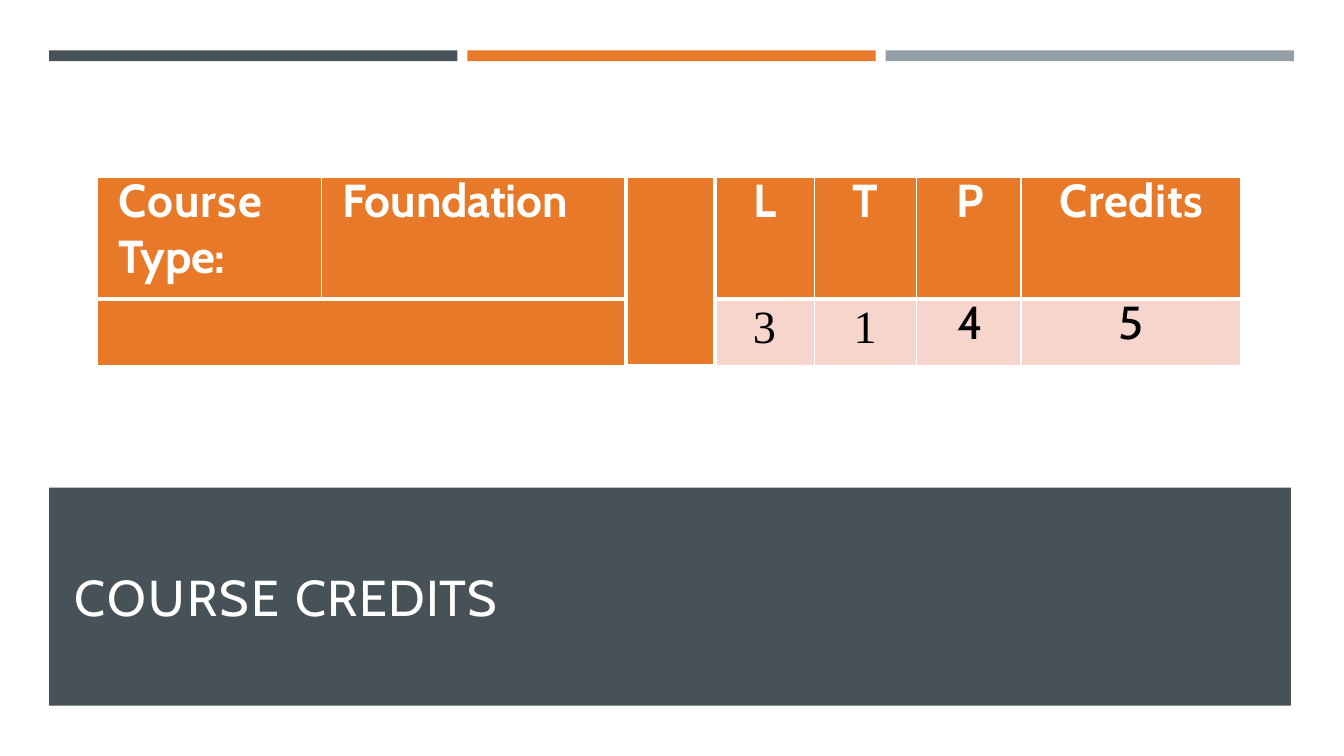
"""Build the course credits slide: three accent bars, a credit table and a title band."""
from dataclasses import dataclass

from lxml import etree
from pptx import Presentation
from pptx import util as u
from pptx.dml.color import RGBColor
from pptx.enum import shapes, text
from pptx.oxml.ns import qn


@dataclass(frozen=True)
class Theme:
    slate: str = "465257"
    orange: str = "E77929"
    grey: str = "949FA7"
    blush: str = "F6D5CD"
    white: str = "FFFFFF"
    black: str = "000000"
    sans: str = "Cabin"
    serif: str = "Times New Roman"
    title_size: float = 36
    cell_size: float = 33
    thin: float = 1
    thick: float = 3


THEME = Theme()
LEFT, CENTER = text.PP_ALIGN.LEFT, text.PP_ALIGN.CENTER

TITLE = [("COURSE ", 1.7), ("CREDITS", 0.8)]
BARS = [THEME.slate, THEME.orange, THEME.grey]

# (row, column): alignment, font, [(words, tracking, indent in cm, line pitch in pt)]
ENTRIES = {
    (0, 0): (LEFT, THEME.sans, [("Course", 0.8, 0.53, 36.9), ("Type:", -0.1, 0.53, None)]),
    (0, 1): (LEFT, THEME.sans, [("Foundation", -0.1, 0.53, 36.9)]),
    (0, 3): (CENTER, THEME.sans, [("L", 1.5, 0.05, 36.9)]),
    (0, 4): (CENTER, THEME.sans, [("T", 2.9, 0, 36.9)]),
    (0, 5): (CENTER, THEME.sans, [("P", 1.6, 0.08, 36.9)]),
    (0, 6): (CENTER, THEME.sans, [("Credits", 0.5, 0.03, 36.9)]),
    (1, 3): (CENTER, THEME.serif, [("3", -0.5, 0, 38.5)]),
    (1, 4): (CENTER, THEME.serif, [("1", -0.5, 0, 38.5)]),
    (1, 5): (CENTER, THEME.sans, [("4", -0.5, 0.1, 37)]),
    (1, 6): (CENTER, THEME.sans, [("5", -0.5, 0.03, 37)]),
}
COLUMNS = [5.64, 7.67, 2.24, 2.51, 2.57, 2.64, 5.54]
ROWS = [3.07, 1.68]
GAP_COLUMN = 2
MARGIN, BAR_WIDTH, BAR_PITCH = 1.24, 10.29, 10.54


def rgb(color):
    return RGBColor.from_string(color)


def paint(target, color):
    target.fill.solid()
    target.fill.fore_color.rgb = rgb(color)


def add_words(paragraph, words, tracking, font, size, color, bold=False):
    run = paragraph.add_run()
    run.text = words
    run.font.name, run.font.size, run.font.bold = font, u.Pt(size), bold
    run.font.color.rgb = rgb(color)
    run._r.get_or_add_rPr().set("spc", str(round(tracking * 100)))


def indent(paragraph, cm):
    properties = paragraph._p.get_or_add_pPr()
    properties.set("marL", str(u.Cm(cm)))
    properties.set("indent", "0")


def rule_cell(cell, row, column):
    last = column + cell.span_width - 1
    edges = {
        "a:lnL": column in (GAP_COLUMN, GAP_COLUMN + 1),
        "a:lnR": last in (GAP_COLUMN - 1, GAP_COLUMN),
        "a:lnT": row == 1,
        "a:lnB": row == 0,
    }
    properties = cell._tc.get_or_add_tcPr()
    for tag, heavy in edges.items():
        width = u.Pt(THEME.thick if heavy else THEME.thin)
        line = etree.SubElement(properties, qn(tag), w=str(width))
        fill = etree.SubElement(line, qn("a:solidFill"))
        etree.SubElement(fill, qn("a:srgbClr"), val=THEME.white)


def fill_cell(cell, row, column):
    cell.margin_left = cell.margin_right = cell.margin_top = cell.margin_bottom = 0
    rule_cell(cell, row, column)
    result = row == 1 and column > GAP_COLUMN
    paint(cell, THEME.blush if result else THEME.orange)
    align, font, lines = ENTRIES.get((row, column), (LEFT, THEME.sans, []))
    for index, (words, tracking, inset, pitch) in enumerate(lines):
        frame = cell.text_frame
        paragraph = frame.add_paragraph() if index else frame.paragraphs[0]
        paragraph.alignment = align
        if pitch:
            paragraph.line_spacing = u.Pt(pitch)
        indent(paragraph, inset)
        add_words(paragraph, words, tracking, font, THEME.cell_size,
                  THEME.black if result else THEME.white, bold=not result)


def add_bars(slide):
    for index, color in enumerate(BARS):
        bar = slide.shapes.add_shape(
            shapes.MSO_SHAPE.RECTANGLE, u.Cm(MARGIN + index * BAR_PITCH), u.Cm(1.27),
            u.Cm(BAR_WIDTH), u.Cm(0.27))
        paint(bar, color)
        bar.line.fill.background()
        bar.shadow.inherit = False


def add_title(slide):
    band = slide.shapes.title
    band.left, band.top = u.Cm(MARGIN), u.Cm(12.29)
    band.width, band.height = u.Cm(31.29), u.Cm(5.49)
    paint(band, THEME.slate)
    frame = band.text_frame
    frame.auto_size = text.MSO_AUTO_SIZE.NONE
    frame.vertical_anchor = text.MSO_ANCHOR.MIDDLE
    frame.margin_left = frame.margin_right = frame.margin_top = frame.margin_bottom = 0
    heading = frame.paragraphs[0]
    heading.alignment = LEFT
    indent(heading, 0.64)
    for words, tracking in TITLE:
        add_words(heading, words, tracking, THEME.sans, THEME.title_size, THEME.white)


def add_credits(slide):
    credits = slide.shapes.add_table(
        len(ROWS), len(COLUMNS), u.Cm(2.46), u.Cm(4.47),
        u.Cm(sum(COLUMNS)), u.Cm(sum(ROWS))).table
    credits.first_row = credits.horz_banding = False
    for column, width in zip(credits.columns, COLUMNS):
        column.width = u.Cm(width)
    for row, height in zip(credits.rows, ROWS):
        row.height = u.Cm(height)
    credits.cell(0, GAP_COLUMN).merge(credits.cell(1, GAP_COLUMN))
    credits.cell(1, 0).merge(credits.cell(1, GAP_COLUMN - 1))
    for row in range(len(ROWS)):
        for column in range(len(COLUMNS)):
            fill_cell(credits.cell(row, column), row, column)


def main():
    deck = Presentation()
    deck.slide_width, deck.slide_height = u.Cm(33.87), u.Cm(19.05)
    slide = deck.slides.add_slide(deck.slide_layouts[5])
    add_bars(slide)
    add_title(slide)
    add_credits(slide)
    deck.save("out.pptx")


if __name__ == "__main__":
    main()
